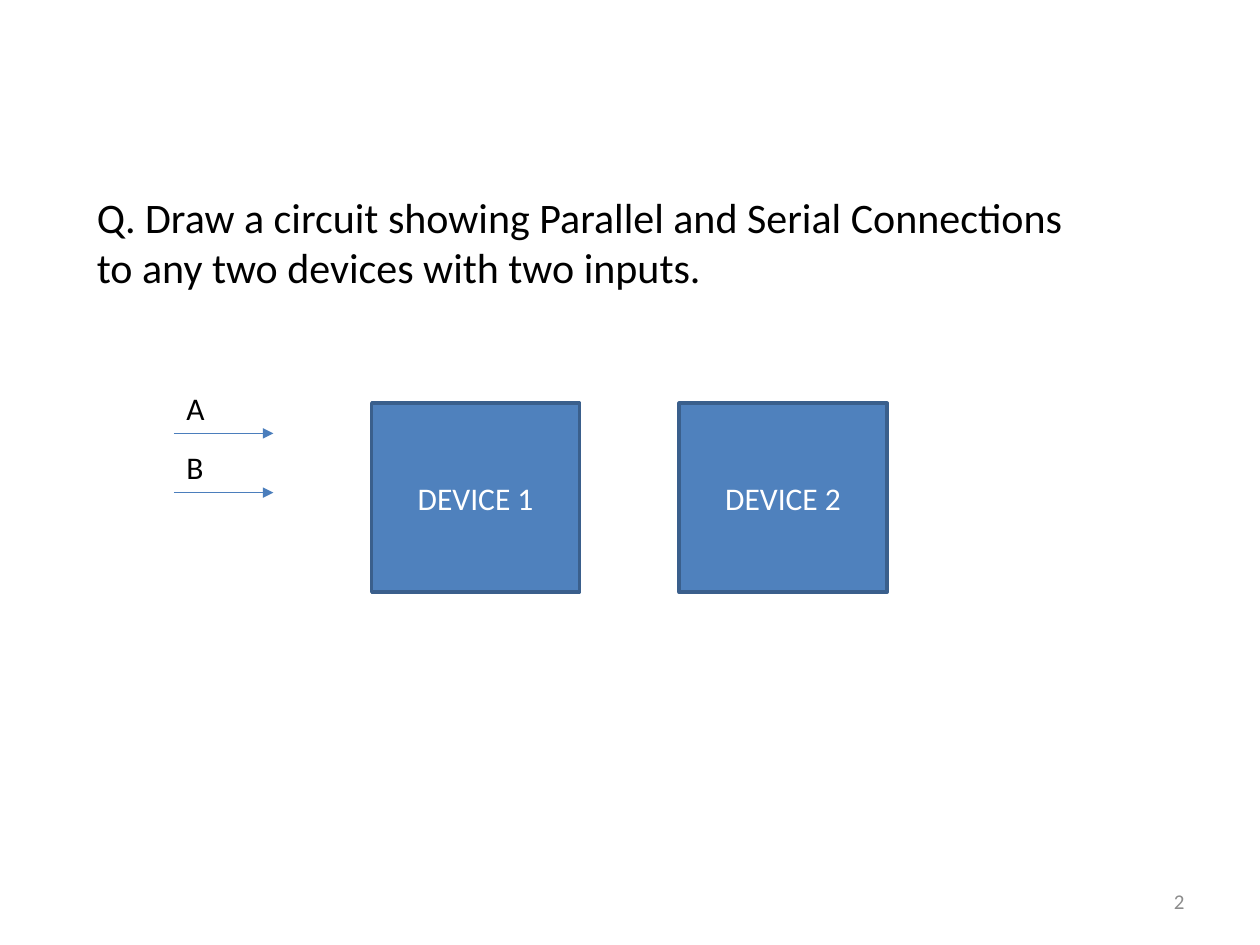
from lxml import etree
from pptx import Presentation
from pptx.dml.color import RGBColor
from pptx.enum.shapes import MSO_CONNECTOR as Connector, MSO_SHAPE as Shape
from pptx.enum.text import MSO_ANCHOR as Anchor, PP_ALIGN as Align
from pptx.oxml.ns import qn
from pptx.util import Inches, Pt

WIDTH, HEIGHT = 10, 7.5


def color(hex_string):
    return RGBColor.from_string(hex_string)


class CircuitSlide:
    """Style and current slide; positions are grid units of one inch."""
    font = "Calibri"
    ink, muted, white = "000000", "8C8C8C", "FFFFFF"
    box_fill, box_line, arrow_line = "4F81BD", "3A5F8C", "4B7EBC"

    def __init__(self, presentation):
        self.slide = presentation.slides.add_slide(presentation.slide_layouts[6])
        self.shapes = self.slide.shapes

    def set_text(self, shape, text, size, ink, align, anchor, wrap=True):
        frame = shape.text_frame
        frame.text = text
        frame.word_wrap = wrap
        frame.vertical_anchor = anchor
        for paragraph in frame.paragraphs:
            paragraph.alignment = align
            for run in paragraph.runs:
                run.font.name = self.font
                run.font.size = Pt(size)
                run.font.color.rgb = color(ink)

    def text(self, column, row, width, height, text, size=18, ink=ink,
             align=Align.LEFT, anchor=Anchor.TOP, wrap=True):
        box = self.shapes.add_textbox(*map(Inches, (column, row, width, height)))
        self.set_text(box, text, size, ink, align, anchor, wrap)

    def device(self, column, row, width, height, text):
        shape = self.shapes.add_shape(
            Shape.RECTANGLE, *map(Inches, (column, row, width, height)))
        shape.shadow.inherit = False
        shape.fill.solid()
        shape.fill.fore_color.rgb = color(self.box_fill)
        shape.line.color.rgb = color(self.box_line)
        shape.line.width = Pt(2)
        self.set_text(shape, text, 18, self.white, Align.CENTER, Anchor.MIDDLE)

    def arrow(self, column, row, length):
        line = self.shapes.add_connector(
            Connector.STRAIGHT, *map(Inches, (column, row, column + length, row)))
        line.line.color.rgb = color(self.arrow_line)
        line.line.width = Pt(0.75)
        properties = line._element.spPr
        etree.SubElement(properties.find(qn("a:ln")), qn("a:tailEnd"), type="triangle")
        etree.SubElement(properties, qn("a:effectLst"))


def main():
    presentation = Presentation()
    presentation.slide_width = Inches(WIDTH)
    presentation.slide_height = Inches(HEIGHT)
    slide = CircuitSlide(presentation)

    # Slide number
    slide.text(7.17, 6.95, 2.33, 0.4, "2", 12, slide.muted, Align.RIGHT, Anchor.MIDDLE)

    # Question
    slide.text(0.67, 1.47, 8.52, 0.91,
               "Q. Draw a circuit showing Parallel and Serial Connections\n"
               "to any two devices with two inputs.", 24)

    # Inputs: a label above each arrow
    for index, name in enumerate("AB"):
        row = 3.04 + 0.47 * index
        slide.arrow(1.38, row + 0.4, 0.79)
        slide.text(1.38, row, 0.35, 0.4, name, wrap=False)

    # Devices
    for index in range(2):
        slide.device(2.95 + 2.44 * index, 3.2, 1.65, 1.5, f"DEVICE {index + 1}")

    presentation.save("out.pptx")


if __name__ == "__main__":
    main()
